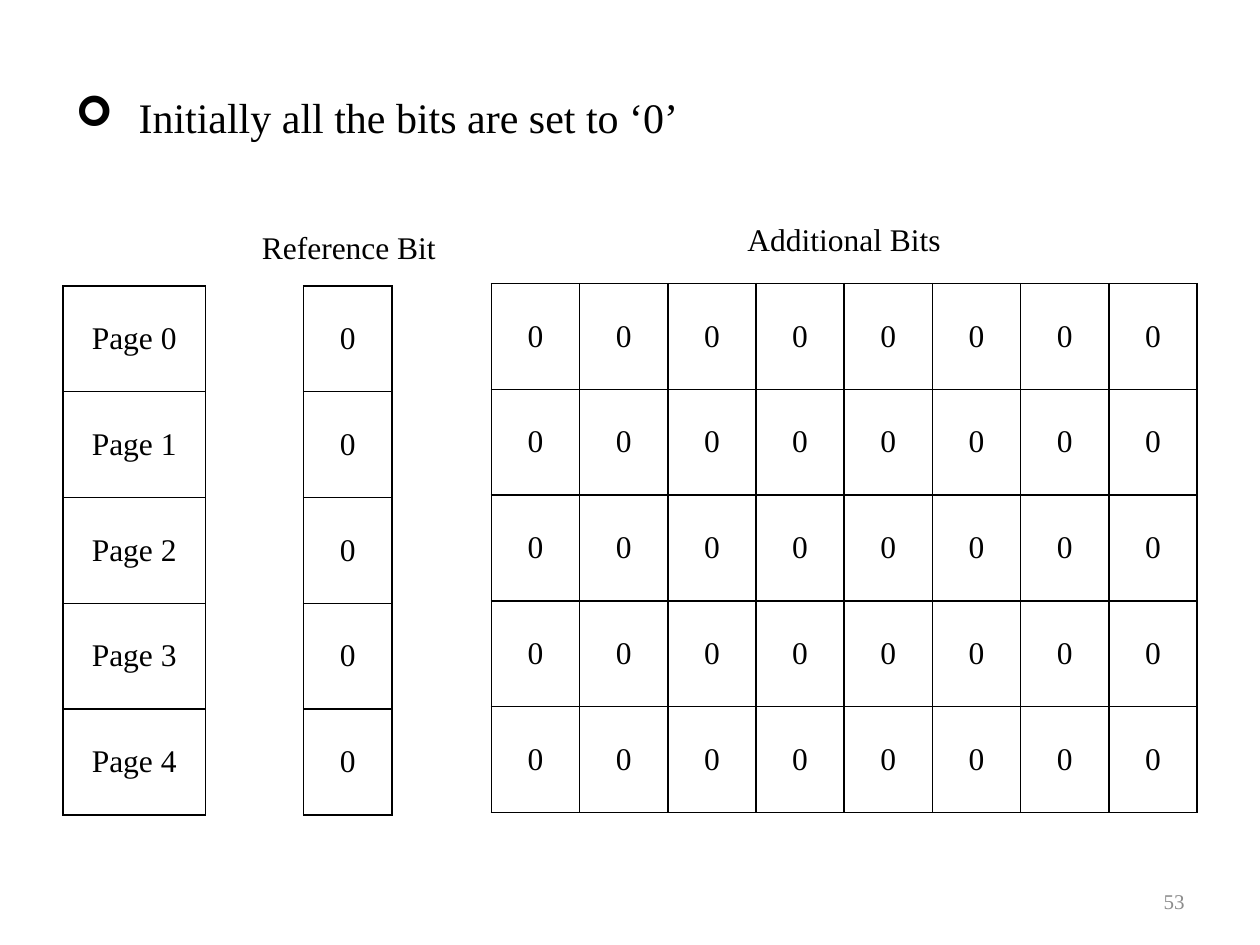
from lxml import etree
from pptx import Presentation
from pptx.dml.color import RGBColor
from pptx.enum import text as t
from pptx.oxml import ns
from pptx.util import Pt

FACE = "Times New Roman"
BLACK = RGBColor(0, 0, 0)
GREY = RGBColor(0x8C, 0x8C, 0x8C)
ROWS, BITS = 5, 8
CELL_W, CELL_H = 50.4, 60.48


def style(frame, size=18, color=BLACK, align=t.PP_ALIGN.CENTER):
    """Format every run in a text frame."""
    for par in frame.paragraphs:
        par.alignment = align
        for run in par.runs:
            run.font.size = Pt(size)
            run.font.name = FACE
            run.font.color.rgb = color


def border(cell):
    """Draw a thin black line on each side of a cell."""
    props = cell._tc.get_or_add_tcPr()
    for side in ("lnL", "lnR", "lnT", "lnB"):
        line = etree.SubElement(props, ns.qn(f"a:{side}"), w=str(Pt(1)))
        fill = etree.SubElement(line, ns.qn("a:solidFill"))
        etree.SubElement(fill, ns.qn("a:srgbClr"), val=str(BLACK))


def grid(slide, left, top, width, rows):
    """Add a ruled table with equal columns of the given width."""
    cols = len(rows[0])
    frame = slide.shapes.add_table(len(rows), cols, Pt(left), Pt(top),
                                   Pt(width * cols), Pt(CELL_H * len(rows)))
    table = frame.table
    table.first_row = table.horz_banding = False
    for col in table.columns:
        col.width = Pt(width)
    for row, words in zip(table.rows, rows):
        row.height = Pt(CELL_H)
        for cell, word in zip(row.cells, words):
            cell.text = word
            cell.vertical_anchor = t.MSO_ANCHOR.MIDDLE
            style(cell.text_frame)
            border(cell)
            cell.fill.background()


def label(slide, left, top, width, words, anchor=t.MSO_ANCHOR.TOP, **look):
    """Add a one-line text box."""
    box = slide.shapes.add_textbox(Pt(left), Pt(top), Pt(width), Pt(29))
    frame = box.text_frame
    frame.word_wrap = True
    frame.vertical_anchor = anchor
    frame.text = words
    style(frame, **look)


def head(slide, left, top, width, height, words):
    """Place the title as a left-aligned bullet line."""
    title = slide.shapes.title
    title.left, title.top = Pt(left), Pt(top)
    title.width, title.height = Pt(width), Pt(height)
    frame = title.text_frame
    frame.text = words
    frame.vertical_anchor = t.MSO_ANCHOR.MIDDLE
    props = frame.paragraphs[0]._p.get_or_add_pPr()
    props.set("marL", str(Pt(36)))
    props.set("indent", str(-Pt(36)))
    etree.SubElement(props, ns.qn("a:buFont"), typeface="Wingdings")
    etree.SubElement(props, ns.qn("a:buChar"), char="➢")
    style(frame, size=24, align=t.PP_ALIGN.LEFT)


def main():
    """Build the slide of page reference bits."""
    deck = Presentation()
    deck.slide_width, deck.slide_height = Pt(720), Pt(540)
    slide = deck.slides.add_slide(deck.slide_layouts[5])
    head(slide, 36, 21.6, 648, 90, "Initially all the bits are set to ‘0’")
    grid(slide, 280.8, 162, CELL_W, [["0"] * BITS] * ROWS)
    grid(slide, 173.5, 163.4, CELL_W, [["0"]] * ROWS)
    label(slide, 142.6, 126.7, 136, "Reference Bit", align=t.PP_ALIGN.LEFT)
    label(slide, 280.8, 122.4, CELL_W * BITS, "Additional Bits")
    grid(slide, 36, 163.4, 81.4, [[f"Page {n}"] for n in range(ROWS)])
    label(slide, 516, 500.4, 168, "53", t.MSO_ANCHOR.MIDDLE,
          size=12, color=GREY, align=t.PP_ALIGN.RIGHT)
    deck.save("out.pptx")


if __name__ == "__main__":
    main()
